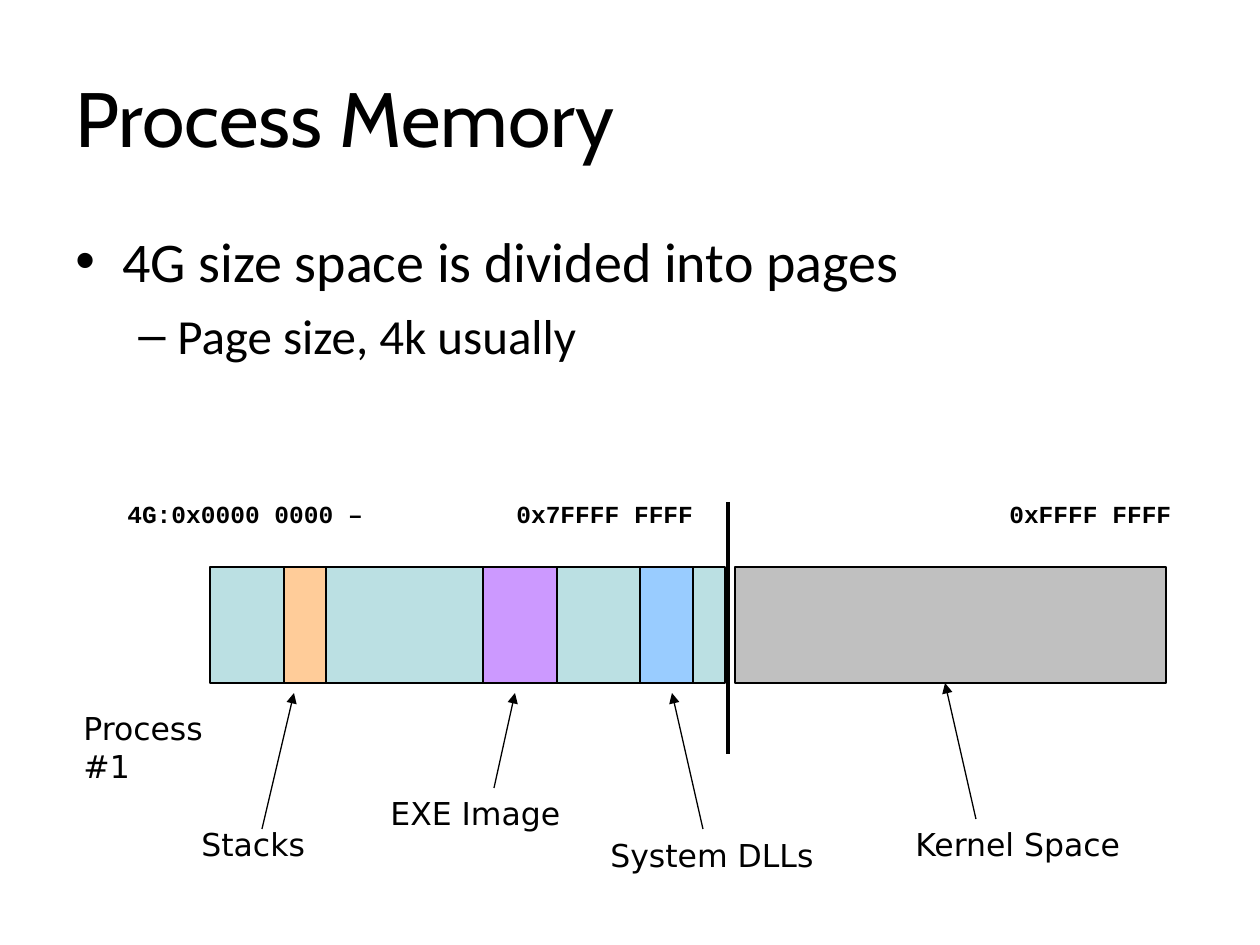
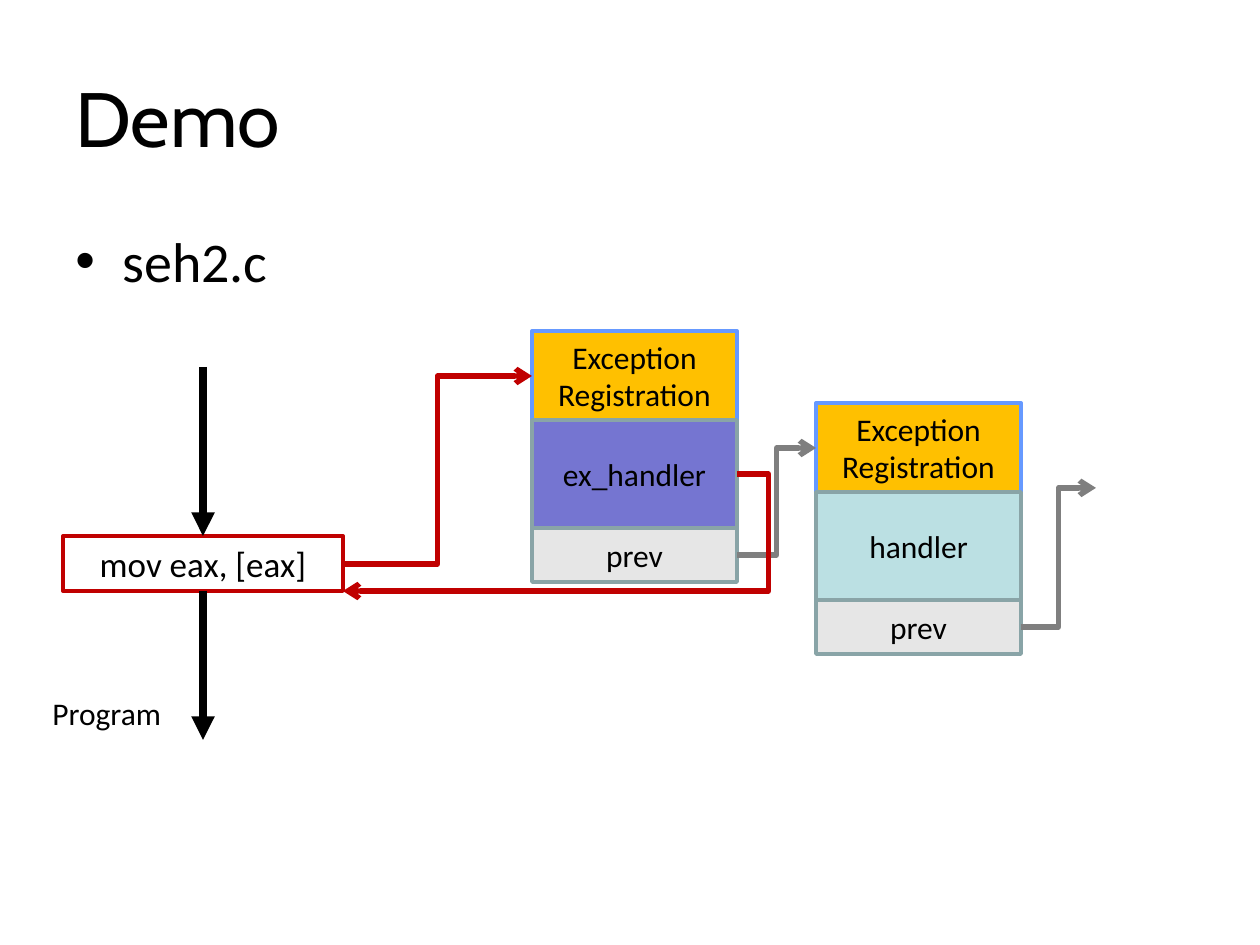
from lxml import etree
from pptx import Presentation
from pptx import util as u
from pptx.dml.color import RGBColor
from pptx.enum import shapes, text
from pptx.oxml import ns

EMU_PER_PX = 914400 / 126
BLACK, RED, GREY, TEAL = "000000", "C00000", "7F7F7F", "BBE0E3"
TITLE_FONT, BODY_FONT, LABEL_FONT, CODE_FONT = "Cabin", "Calibri", "DejaVu Sans", "Courier New"
# Per outline level: bullet, size, left margin px, hanging indent px, space before
LEVELS = [("•", 32, 47, 47, 8), ("–", 28, 102, 39, 7)]


def px(n):
    return u.Emu(round(n * EMU_PER_PX))


def rgb(color):
    return RGBColor.from_string(color)


def sub(parent, tag, **attrs):
    return etree.SubElement(parent, ns.qn(tag), **attrs)


# Text
def set_font(p, font, size, bold=False):
    p.font.name, p.font.size, p.font.bold = font, u.Pt(size), bold
    p.font.color.rgb = rgb(BLACK)


def fill_text(tf, lines, font, size, bold=False, align=text.PP_ALIGN.LEFT):
    for i, line in enumerate(lines.split("\n")):
        p = tf.add_paragraph() if i else tf.paragraphs[0]
        p.text, p.alignment = line, align
        set_font(p, font, size, bold)


def add_label(s, x, y, w, h, words, font, size=18, bold=False, wrap=True):
    tf = s.shapes.add_textbox(px(x), px(y), px(w), px(h)).text_frame
    tf.word_wrap = wrap
    fill_text(tf, words, font, size, bold)
    return tf


def add_title(s, words):
    tf = add_label(s, 63, 38, 1134, 157, words, TITLE_FONT, 44)
    tf.vertical_anchor = text.MSO_ANCHOR.MIDDLE


def add_bullets(s, h, items):
    tf = s.shapes.add_textbox(px(63), px(220), px(1134), px(h)).text_frame
    tf.word_wrap = True
    for i, (level, words) in enumerate(items):
        char, size, margin, hanging, before = LEVELS[level]
        p = tf.add_paragraph() if i else tf.paragraphs[0]
        p.text, p.level = words, level
        if i:
            p.space_before = u.Pt(before)
        pPr = p._p.get_or_add_pPr()
        pPr.set("marL", str(px(margin)))
        pPr.set("indent", str(-px(hanging)))
        sub(pPr, "a:buFont", typeface="Arial")
        sub(pPr, "a:buChar", char=char)
        set_font(p, BODY_FONT, size)


# Boxes and lines
def add_box(s, x, y, w, h, fill, line, width, words="", size=18):
    sp = s.shapes.add_shape(shapes.MSO_SHAPE.RECTANGLE, px(x), px(y), px(w), px(h))
    sp.shadow.inherit = False
    if fill:
        sp.fill.solid()
        sp.fill.fore_color.rgb = rgb(fill)
    else:
        sp.fill.background()
    sp.line.color.rgb, sp.line.width = rgb(line), u.Pt(width)
    if words:
        sp.text_frame.word_wrap = True
        sp.text_frame.vertical_anchor = text.MSO_ANCHOR.MIDDLE
        fill_text(sp.text_frame, words, BODY_FONT, size, align=text.PP_ALIGN.CENTER)
    return sp


def add_line(s, start, end, color=BLACK, width=0.75, head="triangle",
             kind=shapes.MSO_CONNECTOR.STRAIGHT):
    c = s.shapes.add_connector(kind, *map(px, start + end))
    c.line.color.rgb, c.line.width = rgb(color), u.Pt(width)
    if head:
        sub(c.line._get_or_add_ln(), "a:tailEnd", type=head)
    sub(c._element.spPr, "a:effectLst")
    return c


def add_elbow(s, start, end, color, bend=50000):
    c = add_line(s, start, end, color, 3, "arrow", shapes.MSO_CONNECTOR.ELBOW)
    geom = c._element.spPr.find(ns.qn("a:prstGeom"))
    av = geom.find(ns.qn("a:avLst"))
    if av is None:
        av = sub(geom, "a:avLst")
    sub(av, "a:gd", name="adj1", fmla=f"val {bend}")


def add_registration(s, x, y, handler, handler_fill):
    parts = [("Exception\nRegistration", 89, "FFC000", "6699FF", 2.25),
             (handler, 108, handler_fill, "89A4A7", 2),
             ("prev", 54, "E6E6E6", "89A4A7", 2)]
    for words, h, fill, line, width in parts:
        add_box(s, x, y, 205, h, fill, line, width, words)
        y += h


# Slides
def process_memory(s):
    add_title(s, "Process Memory")
    add_bullets(s, 213, [(0, "4G size space is divided into pages"),
                         (1, "Page size, 4k usually")])

    # Address range
    for x, w, words in [(115, 276, "4G:0x0000 0000 –"), (504, 202, "0x7FFFF FFFF"),
                        (997, 188, "0xFFFF FFFF")]:
        add_label(s, x, 493, w, 43, words, CODE_FONT, 14, True, wrap=False)

    # Memory bar: user space, kernel space, then the used segments
    for x, w, fill in [(210, 515, TEAL), (735, 431, "C0C0C0"), (284, 42, "FFCC99"),
                       (483, 74, "CC99FF"), (640, 53, "99CCFF")]:
        add_box(s, x, 567, w, 116, fill, BLACK, 0.75)
    add_line(s, (728, 502), (728, 754), width=2, head=None)

    # Labels with their arrows
    add_label(s, 71, 703, 170, 88, "Process #1", LABEL_FONT)
    for words, x, y, w, start, end in [
            ("Stacks", 189, 819, 147, (262, 829), (294, 693)),
            ("EXE Image", 378, 788, 210, (494, 788), (515, 693)),
            ("System DLLs", 598, 830, 252, (703, 829), (672, 693)),
            ("Kernel Space", 903, 819, 252, (976, 819), (945, 683))]:
        add_label(s, x, y, w, 50, words, LABEL_FONT)
        add_line(s, start, end)


def demo(s):
    add_title(s, "Demo")
    add_bullets(s, 103, [(0, "seh2.c")])

    # Program flow
    instruction = add_box(s, 63, 536, 280, 55, None, RED, 2.25, "mov eax, [eax]", 20)
    add_line(s, (203, 367), (203, 536), width=4.5).end_connect(instruction, 0)
    add_line(s, (203, 591), (203, 740), width=4.5).begin_connect(instruction, 2)
    add_label(s, 40, 688, 155, 50, "Program", BODY_FONT)

    # Handler chain
    add_registration(s, 532, 331, "ex_handler", "7575D1")
    add_registration(s, 816, 403, "handler", TEAL)
    add_elbow(s, (343, 564), (532, 376), RED)
    add_elbow(s, (737, 555), (816, 448), GREY)
    add_elbow(s, (1021, 627), (1096, 488), GREY)
    add_elbow(s, (737, 474), (343, 591), RED, -8000)


def main():
    prs = Presentation()
    prs.slide_width, prs.slide_height = px(1260), px(945)
    for build in (process_memory, demo):
        build(prs.slides.add_slide(prs.slide_layouts[6]))
    prs.save("out.pptx")


if __name__ == "__main__":
    main()
